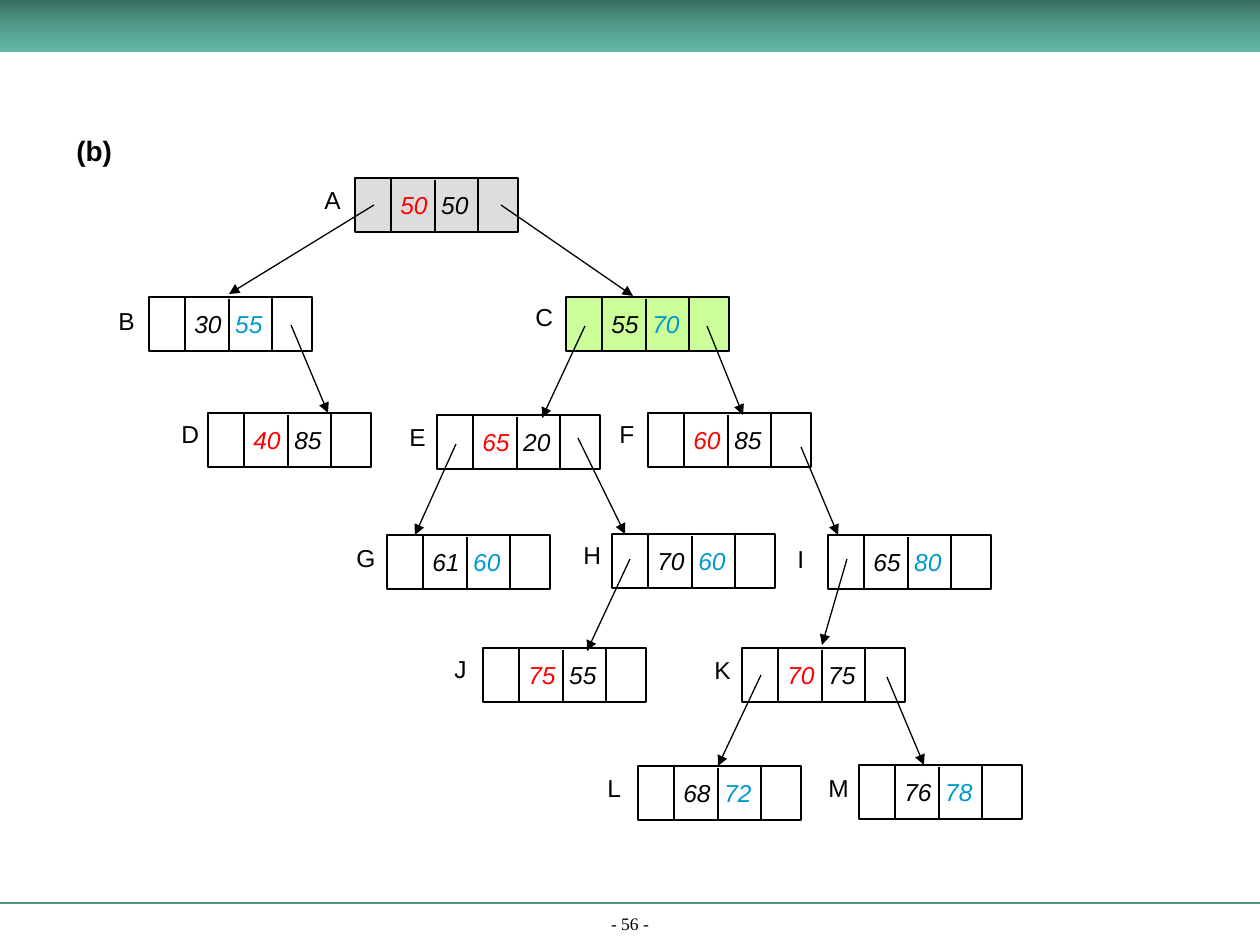
from lxml.etree import SubElement
from pptx import Presentation
from pptx.dml.color import RGBColor
from pptx.enum.shapes import MSO_CONNECTOR, MSO_SHAPE
from pptx.enum.text import MSO_ANCHOR, PP_ALIGN
from pptx.oxml.ns import qn
from pptx.util import Pt

EMU_PER_PX = 914400 / 126
THEME = {
    "ink": RGBColor(0, 0, 0),
    "active": RGBColor(0xFF, 0, 0),
    "upper": RGBColor(0, 0x99, 0xCC),
    "rule": RGBColor(0x4C, 0x92, 0x82),
    "band": [RGBColor(0x3A, 0x6D, 0x62), RGBColor(0x62, 0xB9, 0xA5)],
    "band_middle": "539C8B",
    "root": RGBColor(0xDD, 0xDD, 0xDD),
    "marked": RGBColor(0xCC, 0xFF, 0x99),
    "sans": "Arial",
    "serif": "Times New Roman",
    "node_size": 14,
    "title_size": 16,
    "footer_size": 10,
}
NODE_WIDTH, NODE_HEIGHT = 163, 54
KEYS_OFFSET, KEYS_WIDTH, DIVIDER_OFFSET = 36, 87, 80


def px(*lengths):
    """Turn pixel lengths into EMU."""
    return [round(length * EMU_PER_PX) for length in lengths]


def add_line(start, end, color=THEME["ink"], width=0.75, arrow=False):
    line = page.shapes.add_connector(MSO_CONNECTOR.STRAIGHT, *px(*start, *end))
    line.line.color.rgb = color
    line.line.width = Pt(width)
    if arrow:
        SubElement(line.line._get_or_add_ln(), qn("a:tailEnd"), type="triangle")
    SubElement(line._element.spPr, qn("a:effectLst"))


deck = Presentation()
deck.slide_width, deck.slide_height = px(1260, 945)
page = deck.slides.add_slide(deck.slide_layouts[6])

# Header band and footer rule
band = page.shapes.add_shape(MSO_SHAPE.RECTANGLE, *px(0, 0, 1260, 52))
band.shadow.inherit = False
band.line.fill.background()
band.fill.gradient()
band.fill.gradient_angle = 270
for stop, color, position in zip(band.fill.gradient_stops, THEME["band"], (0, 1)):
    stop.color.rgb = color
    stop.position = position
stop_list = band._element.spPr.find(".//" + qn("a:gsLst"))
middle = SubElement(stop_list, qn("a:gs"), pos="50000")
SubElement(middle, qn("a:srgbClr"), val=THEME["band_middle"])
stop_list.insert(1, middle)
add_line((0, 903), (1260, 903), THEME["rule"], 1.5)

# Nodes: depth, left, top, keys, label left, label top, label width
nodes = {
    "A": (0, 355, 178, "50", "50", 312, 179, 42),
    "B": (1, 149, 297, "30", "55", 106, 300, 42),
    "C": (1, 566, 297, "55", "70", 523, 296, 43),
    "D": (2, 208, 413, "40", "85", 169, 413, 43),
    "E": (2, 437, 415, "65", "20", 397, 416, 42),
    "F": (2, 648, 413, "60", "85", 607, 413, 40),
    "G": (3, 387, 535, "61", "60", 344, 537, 44),
    "H": (3, 612, 534, "70", "60", 571, 534, 43),
    "I": (3, 828, 535, "65", "80", 785, 538, 33),
    "J": (4, 483, 648, "75", "55", 442, 648, 38),
    "K": (4, 742, 648, "70", "75", 702, 649, 42),
    "L": (5, 638, 766, "68", "72", 595, 767, 39),
    "M": (5, 859, 765, "76", "78", 816, 767, 45),
}
node_fills = {"A": THEME["root"], "C": THEME["marked"]}
texts = [
    ("(b)", (64, 127, 82, 47), THEME["sans"], THEME["title_size"], True),
    ("- 56 -", (0, 912, 1260, 28), THEME["serif"], THEME["footer_size"], False),
]

for name, (depth, left, top, first, second, *label) in nodes.items():
    keys_left = left + KEYS_OFFSET
    for box_left, box_width in ((left, NODE_WIDTH), (keys_left, KEYS_WIDTH)):
        box = page.shapes.add_shape(
            MSO_SHAPE.RECTANGLE, *px(box_left, top, box_width, NODE_HEIGHT))
        box.shadow.inherit = False
        box.line.color.rgb = THEME["ink"]
        box.line.width = Pt(0.75)
        if box_left == left and name in node_fills:
            box.fill.solid()
            box.fill.fore_color.rgb = node_fills[name]
        else:
            box.fill.background()

    # The compared key alternates with depth
    if depth % 2 == 0:
        colors = (THEME["active"], THEME["ink"])
    else:
        colors = (THEME["ink"], THEME["upper"])
    frame = box.text_frame
    frame.word_wrap = False
    frame.vertical_anchor = MSO_ANCHOR.MIDDLE
    para = frame.paragraphs[0]
    para.alignment = PP_ALIGN.CENTER
    for key, color in ((first, colors[0]), (" ", colors[0]), (second, colors[1])):
        span = para.add_run()
        span.text = key
        span.font.name = THEME["sans"]
        span.font.size = Pt(THEME["node_size"])
        span.font.italic = True
        span.font.color.rgb = color
        if key == " ":
            span.font._element.set("spc", "389")  # doubles the gap between keys

    divider = left + DIVIDER_OFFSET
    add_line((divider, top + 2), (divider, top + 55))
    label_left, label_top, label_width = label
    texts.append((name, (label_left, label_top, label_width, 42),
                  THEME["sans"], THEME["node_size"], False))

for text, place, font_name, size, bold in texts:
    box = page.shapes.add_textbox(*px(*place))
    frame = box.text_frame
    para = frame.paragraphs[0]
    if font_name == THEME["serif"]:
        frame.word_wrap = True
        frame.vertical_anchor = MSO_ANCHOR.BOTTOM
        para.alignment = PP_ALIGN.CENTER
    span = para.add_run()
    span.text = text
    span.font.name = font_name
    span.font.size = Pt(size)
    span.font.bold = bold
    span.font.color.rgb = THEME["ink"]

arrows = [
    ((374, 205), (229, 294)),  # A to B
    ((501, 205), (633, 296)),  # A to C
    ((291, 325), (328, 413)),  # B to D
    ((585, 326), (542, 418)),  # C to E
    ((707, 326), (743, 415)),  # C to F
    ((456, 444), (415, 535)),  # E to G
    ((578, 438), (625, 534)),  # E to H
    ((801, 447), (838, 535)),  # F to I
    ((630, 559), (587, 651)),  # H to J
    ((847, 559), (822, 645)),  # I to K
    ((761, 675), (718, 766)),  # K to L
    ((887, 677), (924, 765)),  # K to M
]
for start, end in arrows:
    add_line(start, end, arrow=True)

deck.save("out.pptx")
